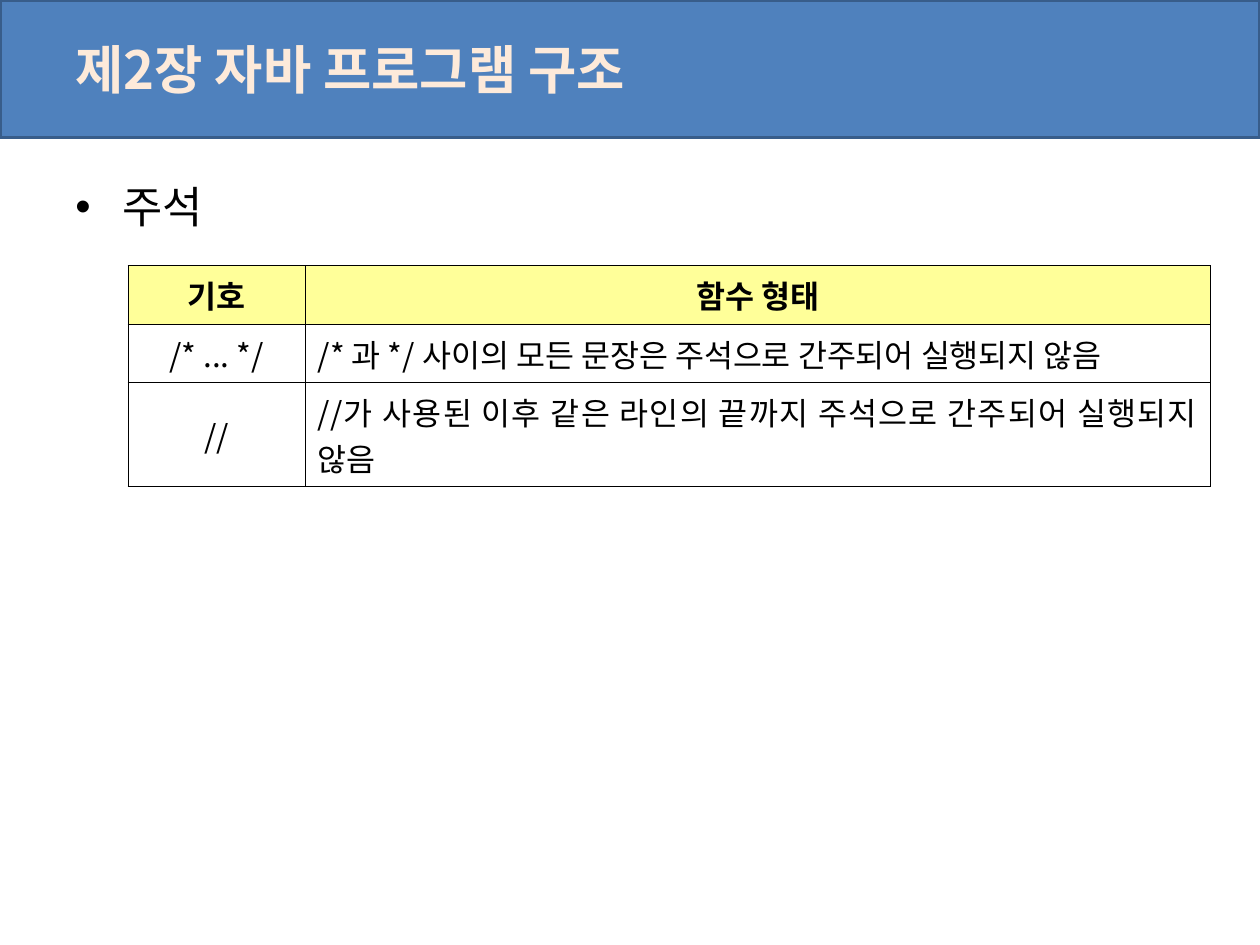
from lxml.etree import SubElement
from pptx import Presentation
from pptx.dml.color import RGBColor
from pptx.enum.shapes import MSO_SHAPE as Shape
from pptx.enum.text import MSO_ANCHOR as Anchor, PP_ALIGN as Align
from pptx.oxml import parse_xml
from pptx.oxml.ns import nsdecls, qn
from pptx.util import Pt

BLUE = RGBColor(0x4F, 0x81, 0xBD)
NAVY = RGBColor(0x38, 0x5D, 0x8A)
CREAM = RGBColor(0xFD, 0xEA, 0xDA)
YELLOW = RGBColor(0xFF, 0xFF, 0x99)
BLACK = RGBColor(0x00, 0x00, 0x00)

COMMENT_ROWS = [
    ("기호", "함수 형태"),
    ("/* ... */", "/* 과 */ 사이의 모든 문장은 주석으로 간주되어 실행되지 않음"),
    ("//", "//가 사용된 이후 같은 라인의 끝까지 주석으로 간주되어 실행되지 않음"),
]


class SlideBuilder:
    font_name = "Noto Sans CJK KR"
    border_width = 0.45

    def __init__(self, page):
        self.page = page

    def style(self, para, size, color, bold=False):
        for span in para.runs:
            font = span.font
            font.name, font.size, font.bold = self.font_name, Pt(size), bold
            font.color.rgb = color
            latin = span._r.get_or_add_rPr().find(qn("a:latin"))
            latin.addnext(parse_xml(f'<a:ea {nsdecls("a")} typeface="{self.font_name}"/>'))

    def banner(self, left, top, width, height):
        box = self.page.shapes.add_shape(
            Shape.RECTANGLE, Pt(left), Pt(top), Pt(width), Pt(height))
        box.shadow.inherit = False
        box.fill.solid()
        box.fill.fore_color.rgb = BLUE
        box.line.color.rgb = NAVY
        box.line.width = Pt(2)

    def text(self, left, top, width, height, words, size, color,
             bold=False, anchor=Anchor.TOP):
        box = self.page.shapes.add_textbox(Pt(left), Pt(top), Pt(width), Pt(height))
        frame = box.text_frame
        frame.word_wrap = True
        frame.vertical_anchor = anchor
        frame.text = words
        para = frame.paragraphs[0]
        self.style(para, size, color, bold)
        return para

    def bullet(self, para, indent, space_before):
        para.space_before = Pt(space_before)
        props = para._p.get_or_add_pPr()
        props.set("marL", str(Pt(indent)))
        props.set("indent", str(-Pt(indent)))
        color = SubElement(props, qn("a:buClr"))
        SubElement(color, qn("a:srgbClr"), val=str(BLACK))
        SubElement(props, qn("a:buFont"), typeface="Arial")
        SubElement(props, qn("a:buChar"), char="•")

    def borders(self, cell):
        props = cell._tc.get_or_add_tcPr()
        for index, side in enumerate("LRTB"):
            props.insert(index, parse_xml(
                f'<a:ln{side} {nsdecls("a")} w="{Pt(self.border_width)}"><a:solidFill>'
                f'<a:srgbClr val="{BLACK}"/></a:solidFill></a:ln{side}>'))

    def table(self, left, top, widths, heights, rows, size):
        table = self.page.shapes.add_table(
            len(rows), len(widths), Pt(left), Pt(top),
            Pt(sum(widths)), Pt(sum(heights))).table
        table.first_row = table.horz_banding = False
        for column, width in zip(table.columns, widths):
            column.width = Pt(width)
        for row, height in zip(table.rows, heights):
            row.height = Pt(height)
        for i, row in enumerate(rows):
            for j, words in enumerate(row):
                header = i == 0
                cell = table.cell(i, j)
                cell.vertical_anchor = Anchor.MIDDLE
                cell.text_frame.text = words
                para = cell.text_frame.paragraphs[0]
                para.alignment = Align.CENTER if header or j == 0 else Align.JUSTIFY
                self.style(para, size, BLACK, header)
                if header:
                    cell.fill.solid()
                    cell.fill.fore_color.rgb = YELLOW
                else:
                    cell.fill.background()
                self.borders(cell)


def main():
    deck = Presentation()
    deck.slide_width, deck.slide_height = Pt(720), Pt(540)
    builder = SlideBuilder(deck.slides.add_slide(deck.slide_layouts[6]))
    builder.banner(0, 0, 720, 78.5)
    builder.text(36, -5.75, 648, 90, "제2장 자바 프로그램 구조", 30, CREAM,
                 bold=True, anchor=Anchor.MIDDLE)
    topic = builder.text(36, 99.4, 648, 356.4, "주석", 25, BLACK)
    builder.bullet(topic, 27, 6.2)
    builder.table(73.2, 151.8, [101.2, 517.3], [33.4, 33.4, 59.4], COMMENT_ROWS, 18)
    deck.save("out.pptx")


if __name__ == "__main__":
    main()
